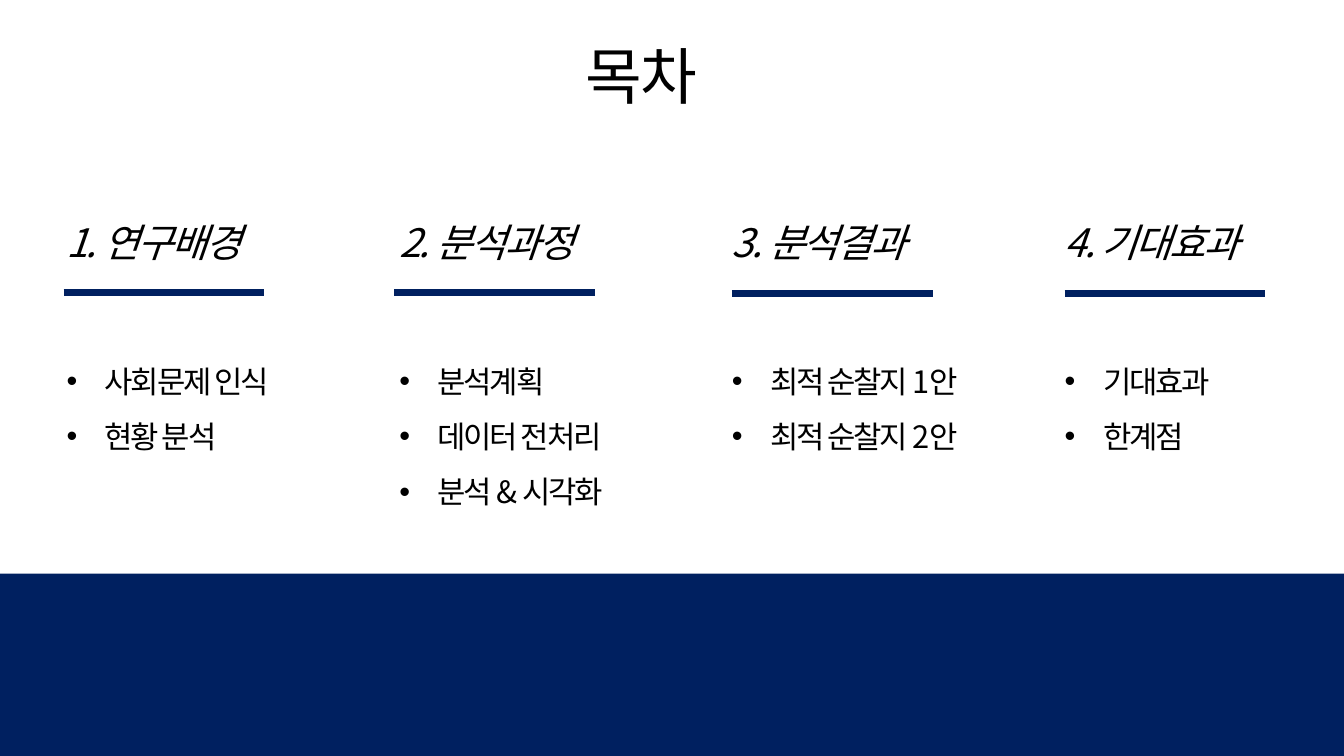
"""Build the table of contents slide with four numbered sections."""
from lxml.etree import SubElement
from pptx import Presentation
from pptx.dml.color import RGBColor
from pptx.enum.shapes import MSO_CONNECTOR, MSO_SHAPE
from pptx.enum.text import MSO_ANCHOR, MSO_AUTO_SIZE, PP_ALIGN
from pptx.oxml.ns import qn
from pptx.util import Pt

PX = 9144
FONT = "Noto Sans CJK KR"
COLORS = {"navy": "002060", "text": "000000"}
SECTIONS = [
    ("1. 연구배경", ["사회문제 인식", "현황 분석"], 254, 63, 290),
    ("2. 분석과정", ["분석계획", "데이터 전처리", "분석 & 시각화"], 277, 391, 290),
    ("3. 분석결과", ["최적 순찰지 1안", "최적 순찰지 2안"], 277, 726, 291),
    ("4. 기대효과", ["기대효과", "한계점"], 235, 1056, 291),
]
FIRST_LEFT, COLUMN_STEP = 56, 330
HEADING_TOP, LIST_TOP = 208, 333
LIST_LINE = 55


def place(shape, left, top, width, height):
    shape.left, shape.top = left * PX, top * PX
    shape.width, shape.height = width * PX, height * PX


def write(shape, lines, size, pitch, inset, italic=False, bulleted=False):
    frame = shape.text_frame
    frame.word_wrap = True
    frame.auto_size = MSO_AUTO_SIZE.SHAPE_TO_FIT_TEXT
    frame.vertical_anchor = MSO_ANCHOR.TOP
    frame.margin_left = frame.margin_right = 10 * PX
    frame.margin_top, frame.margin_bottom = inset * PX, (10 - inset) * PX
    for index, line in enumerate(lines):
        paragraph = frame.add_paragraph() if index else frame.paragraphs[0]
        paragraph.alignment = PP_ALIGN.LEFT
        paragraph.space_before = paragraph.space_after = Pt(0)
        paragraph.line_spacing = Pt(round(pitch * 0.72, 1))
        if bulleted:
            properties = paragraph._p.get_or_add_pPr()
            properties.set("marL", str(38 * PX))
            properties.set("indent", str(-38 * PX))
            SubElement(properties, qn("a:buFont"), typeface="Arial")
            SubElement(properties, qn("a:buChar"), char="•")
        run = paragraph.add_run()
        run.text = line
        font = run.font
        font.size, font.name = Pt(size), FONT
        font.bold, font.italic = False, italic
        font.color.rgb = RGBColor.from_string(COLORS["text"])
        run_properties = run._r.get_or_add_rPr()
        run_properties.set("spc", "-150")
        SubElement(run_properties, qn("a:ea"), typeface=FONT)


deck = Presentation()
deck.slide_width, deck.slide_height = 1333 * PX, 750 * PX
slide = deck.slides.add_slide(deck.slide_layouts.get_by_name("Comparison"))
title, *topic_lists = list(slide.placeholders)[:5]

place(title, 571, 27, 145, 84)
write(title, ["목차"], 44, 74, 10)

for column, (heading, topics, list_width, rule_left, rule_top) in enumerate(SECTIONS):
    left = FIRST_LEFT + column * COLUMN_STEP
    heading_box = slide.shapes.add_textbox(0, 0, 0, 0)
    place(heading_box, left, HEADING_TOP, 235, 57)
    write(heading_box, [heading], 28, 47, 8, italic=True)

    topic_list = topic_lists[column]
    place(topic_list, left, LIST_TOP, list_width, 10 + LIST_LINE * len(topics))
    write(topic_list, topics, 22, LIST_LINE, 8, bulleted=True)

    rule = slide.shapes.add_connector(
        MSO_CONNECTOR.STRAIGHT,
        rule_left * PX, rule_top * PX, (rule_left + 199) * PX, rule_top * PX)
    rule.line.color.rgb = RGBColor.from_string(COLORS["navy"])
    rule.line.width = Pt(5)
    SubElement(rule._element.spPr, qn("a:effectLst"))

footer_band = slide.shapes.add_shape(
    MSO_SHAPE.RECTANGLE, 0, 569 * PX, 1333 * PX, 181 * PX)
footer_band.shadow.inherit = False
footer_band.fill.solid()
footer_band.fill.fore_color.rgb = RGBColor.from_string(COLORS["navy"])
footer_band.line.fill.background()

deck.save("out.pptx")
